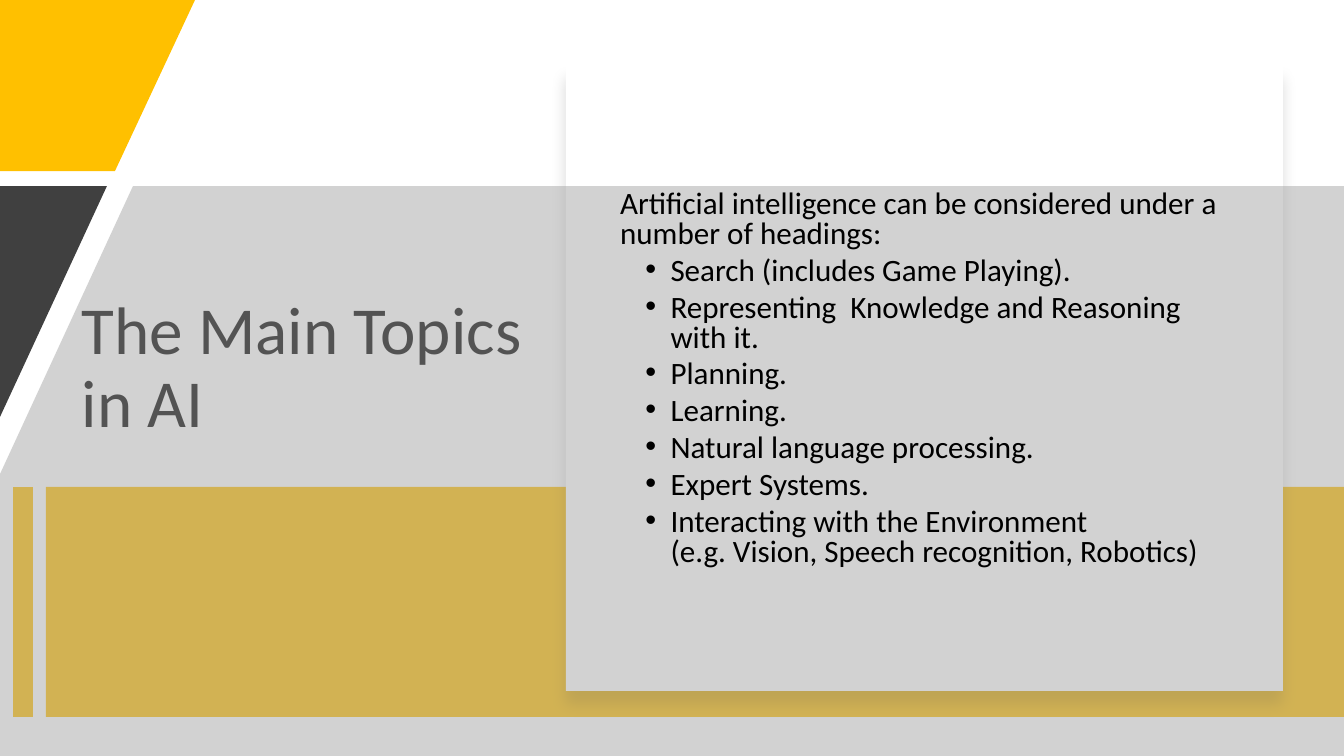
"""Build a slide listing the main topics in AI on a panel over angled colour blocks."""
import lxml.etree
import pptx
import pptx.dml.color
import pptx.enum.shapes
import pptx.enum.text
import pptx.oxml.ns
import pptx.util

SLIDE_WIDTH, SLIDE_HEIGHT = 1344, 756
SCALE = 12192000 / SLIDE_WIDTH
FONT = "Calibri"
GOLD, GREY, CHARCOAL, WHITE, BLACK = "FFC000", "A6A6A6", "404040", "FFFFFF", "000000"
INTRO = "Artificial intelligence can be considered under a number of headings:"
TOPICS = [
    "Search (includes Game Playing).",
    "Representing  Knowledge and Reasoning with it.",
    "Planning.",
    "Learning.",
    "Natural language processing.",
    "Expert Systems.",
    "Interacting with the Environment \v(e.g. Vision, Speech recognition, Robotics)",
]


def px(length):
    return round(length * SCALE)


def color(value):
    return pptx.dml.color.RGBColor.from_string(value)


def add_child(parent, tag, **attributes):
    child = lxml.etree.SubElement(parent, pptx.oxml.ns.qn(tag))
    for name, value in attributes.items():
        child.set(name, str(value))
    return child


def paint(shape, fill):
    shape.shadow.inherit = False
    shape.fill.solid()
    shape.fill.fore_color.rgb = color(fill)
    shape.line.fill.background()


def add_rectangle(slide, box, fill):
    rectangle = slide.shapes.add_shape(
        pptx.enum.shapes.MSO_SHAPE.RECTANGLE, *map(px, box))
    paint(rectangle, fill)
    return rectangle


def add_polygon(slide, points, fill):
    builder = slide.shapes.build_freeform(*points[0], scale=SCALE)
    builder.add_line_segments(points[1:], close=True)
    polygon = builder.convert_to_shape()
    paint(polygon, fill)
    return polygon


def add_text_box(slide, box, anchor):
    text_frame = slide.shapes.add_textbox(*map(px, box)).text_frame
    text_frame.word_wrap = True
    text_frame.vertical_anchor = anchor
    return text_frame


def format_paragraph(paragraph, size, line_spacing):
    paragraph.line_spacing = line_spacing
    for run in paragraph.runs:
        run.font.name = FONT
        run.font.size = pptx.util.Pt(size)
        run.font.color.rgb = color(BLACK)


def add_title(slide, box):
    text_frame = add_text_box(slide, box, pptx.enum.text.MSO_ANCHOR.MIDDLE)
    text_frame.text = "The Main Topics in AI"
    format_paragraph(text_frame.paragraphs[0], 48, 0.9)


def add_gold_band(slide, box):
    left, top, width, height = box
    add_rectangle(slide, (left + 23, top, width - 23, height), GOLD)
    stripe = slide.shapes.add_connector(
        pptx.enum.shapes.MSO_CONNECTOR.STRAIGHT,
        px(left), px(top), px(left), px(top + height))
    stripe.line.color.rgb = color(GOLD)
    stripe.line.width = pptx.util.Pt(14)
    add_child(stripe._element.spPr, "a:effectLst")


def add_panel(slide, box):
    panel = add_rectangle(slide, box, WHITE)
    effects = panel._element.spPr.find(pptx.oxml.ns.qn("a:effectLst"))
    shadow = add_child(effects, "a:outerShdw", blurRad=pptx.util.Pt(11),
                       dist=pptx.util.Pt(10), dir=5400000, algn="t", rotWithShape=0)
    add_child(add_child(shadow, "a:srgbClr", val=BLACK), "a:alpha", val=15000)


def add_angled_blocks(slide, box):
    left, top, width, height = box
    right, bottom, middle = left + width, top + height, top + 186
    add_polygon(slide, [(left, top), (left + 195, top),
                        (left + 115, top + 171), (left, top + 171)], GOLD)
    veil = add_polygon(slide, [(left + 133, middle), (right, middle), (right, bottom),
                               (left, bottom), (left, top + 474)], GREY)
    veil_color = veil._element.spPr.find(
        pptx.oxml.ns.qn("a:solidFill")).find(pptx.oxml.ns.qn("a:srgbClr"))
    add_child(veil_color, "a:alpha", val=50000)
    add_polygon(slide, [(left, middle), (left + 107, middle), (left, middle + 231)], CHARCOAL)


def add_topics(slide, box):
    text_frame = add_text_box(slide, box, pptx.enum.text.MSO_ANCHOR.TOP)
    indent = pptx.util.Inches(0.25)
    intro = text_frame.paragraphs[0]
    intro.text = INTRO
    intro._p.get_or_add_pPr().set("marL", str(indent))
    format_paragraph(intro, 22.2, 0.8)
    for topic in TOPICS:
        paragraph = text_frame.add_paragraph()
        paragraph.text = topic
        paragraph.level = 1
        paragraph.space_before = pptx.util.Pt(5)
        format_paragraph(paragraph, 22.2, 0.8)
        properties = paragraph._p.get_or_add_pPr()
        properties.set("marL", str(3 * indent))
        properties.set("indent", str(-indent))
        add_child(properties, "a:buFont", typeface="Arial")
        add_child(properties, "a:buChar", char="•")


def build_slide(presentation):
    slide = presentation.slides.add_slide(presentation.slide_layouts[6])
    add_title(slide, (72, 282, 464, 175))
    add_gold_band(slide, (23, 487, SLIDE_WIDTH - 23, 230))
    add_panel(slide, (566, 65, 717, 626))
    add_angled_blocks(slide, (0, 0, SLIDE_WIDTH, SLIDE_HEIGHT))
    add_topics(slide, (585, 186, 650, 449))


def main():
    presentation = pptx.Presentation()
    presentation.slide_width = px(SLIDE_WIDTH)
    presentation.slide_height = px(SLIDE_HEIGHT)
    build_slide(presentation)
    presentation.save("out.pptx")


if __name__ == "__main__":
    main()
